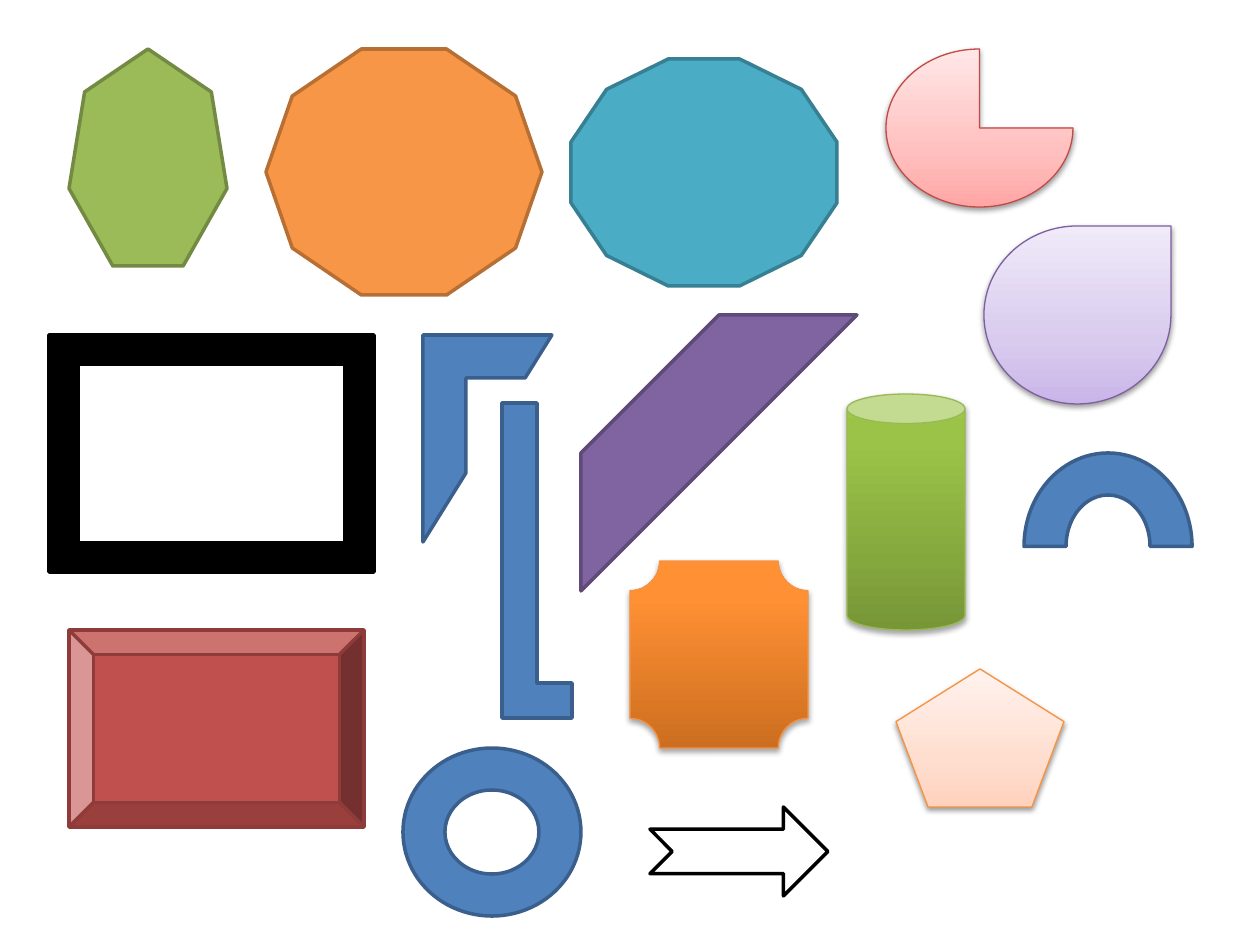
"""Build a slide with a gallery of preset shapes."""
from lxml.etree import SubElement
from pptx import Presentation
from pptx.dml.color import RGBColor
from pptx.enum.shapes import MSO_SHAPE as Kind
from pptx.oxml.ns import qn
from pptx.util import Emu, Pt

SCALE = 914400 / 126
HEX = {
    "green": "9BBB59", "moss": "738A42", "orange": "F79646", "rust": "B76F34",
    "aqua": "4BACC6", "teal": "377F92", "blue": "4F81BD", "navy": "3A5F8C",
    "purple": "8064A2", "plum": "5F4A78", "red": "C0504D", "wine": "8E3B39",
    "black": "000000", "white": "FFFFFF", "rose": "BF4C48", "violet": "7D60A0",
    "amber": "F69240", "lime": "98B955",
}
FADES = {
    "pink": [(0, "FFA6A5"), (35, "FFC0BF"), (100, "FFE7E7")],
    "lilac": [(0, "C9B5E8"), (35, "D8CBEE"), (100, "F0EAF9")],
    "peach": [(0, "FFD2BD"), (35, "FFDED0"), (100, "FFF2ED")],
    "fire": [(0, "CC6E20"), (80, "FF9034"), (100, "FF9136")],
    "leaf": [(0, "779737"), (80, "9BC348"), (100, "9DC746")],
}
SOFT = {"alpha": 38, "dist": 20000}
DEEP = {"alpha": 35, "dist": 23000}
FLAT = [
    (Kind.HEPTAGON, (69, 49, 158, 217), "green", "moss"),
    (Kind.DECAGON, (266, 49, 276, 246), "orange", "rust"),
    (Kind.DODECAGON, (571, 59, 266, 227), "aqua", "teal"),
    (Kind.FRAME, (49, 335, 325, 237), "black", "black"),
    (Kind.HALF_FRAME, (423, 335, 129, 207), "blue", "navy"),
    (Kind.CORNER, (502, 403, 70, 315), "blue", "navy"),
    (Kind.DIAGONAL_STRIPE, (581, 315, 276, 276), "purple", "plum"),
    (Kind.BEVEL, (69, 630, 295, 197), "red", "wine"),
    (Kind.DONUT, (403, 748, 178, 168), "blue", "navy"),
    (Kind.BLOCK_ARC, (1024, 453, 168, 187), "blue", "navy"),
    (Kind.NOTCHED_RIGHT_ARROW, (650, 807, 178, 89), "white", "black"),
]
SHADED = [
    (Kind.PIE, (886, 49, 187, 158), "pink", "rose", SOFT),
    (Kind.TEAR, (984, 226, 187, 178), "lilac", "violet", SOFT),
    (Kind.PLAQUE, (630, 561, 178, 187), "fire", "amber", DEEP),
    (Kind.CAN, (847, 394, 118, 236), "leaf", "lime", DEEP),
    (Kind.REGULAR_PENTAGON, (896, 669, 168, 138), "peach", "amber", SOFT),
]


def px(num):
    return Emu(round(num * SCALE))


def add(slide, kind, box, edge, width):
    shape = slide.shapes.add_shape(kind, *map(px, box))
    shape.shadow.inherit = False
    shape.line.color.rgb = RGBColor.from_string(HEX[edge])
    shape.line.width = Pt(width)
    return shape


def tint(node, code, **mods):
    color = SubElement(node, qn("a:srgbClr"), val=code)
    for name, val in mods.items():
        SubElement(color, qn(f"a:{name}"), val=str(val))


def fade(shape, stops):
    shape.fill.gradient()
    grad = shape._element.spPr.find(qn("a:gradFill"))
    for child in list(grad):
        grad.remove(child)
    group = SubElement(grad, qn("a:gsLst"))
    for pos, code in stops:
        tint(SubElement(group, qn("a:gs"), pos=str(pos * 1000)), code)
    SubElement(grad, qn("a:lin"), ang="16200000", scaled="0")


def cast(shape, alpha, dist):
    effects = shape._element.spPr.find(qn("a:effectLst"))
    outer = SubElement(effects, qn("a:outerShdw"), blurRad="40000",
                       dist=str(dist), dir="5400000", rotWithShape="0")
    tint(outer, HEX["black"], alpha=alpha * 1000)


def main():
    deck = Presentation()
    deck.slide_width, deck.slide_height = px(1260), px(945)
    slide = deck.slides.add_slide(deck.slide_layouts[6])
    for kind, box, fill, edge in FLAT:
        shape = add(slide, kind, box, edge, 2)
        shape.fill.solid()
        shape.fill.fore_color.rgb = RGBColor.from_string(HEX[fill])
    for kind, box, fill, edge, shade in SHADED:
        shape = add(slide, kind, box, edge, 0.75)
        fade(shape, FADES[fill])
        cast(shape, **shade)
    deck.save("out.pptx")


if __name__ == "__main__":
    main()
